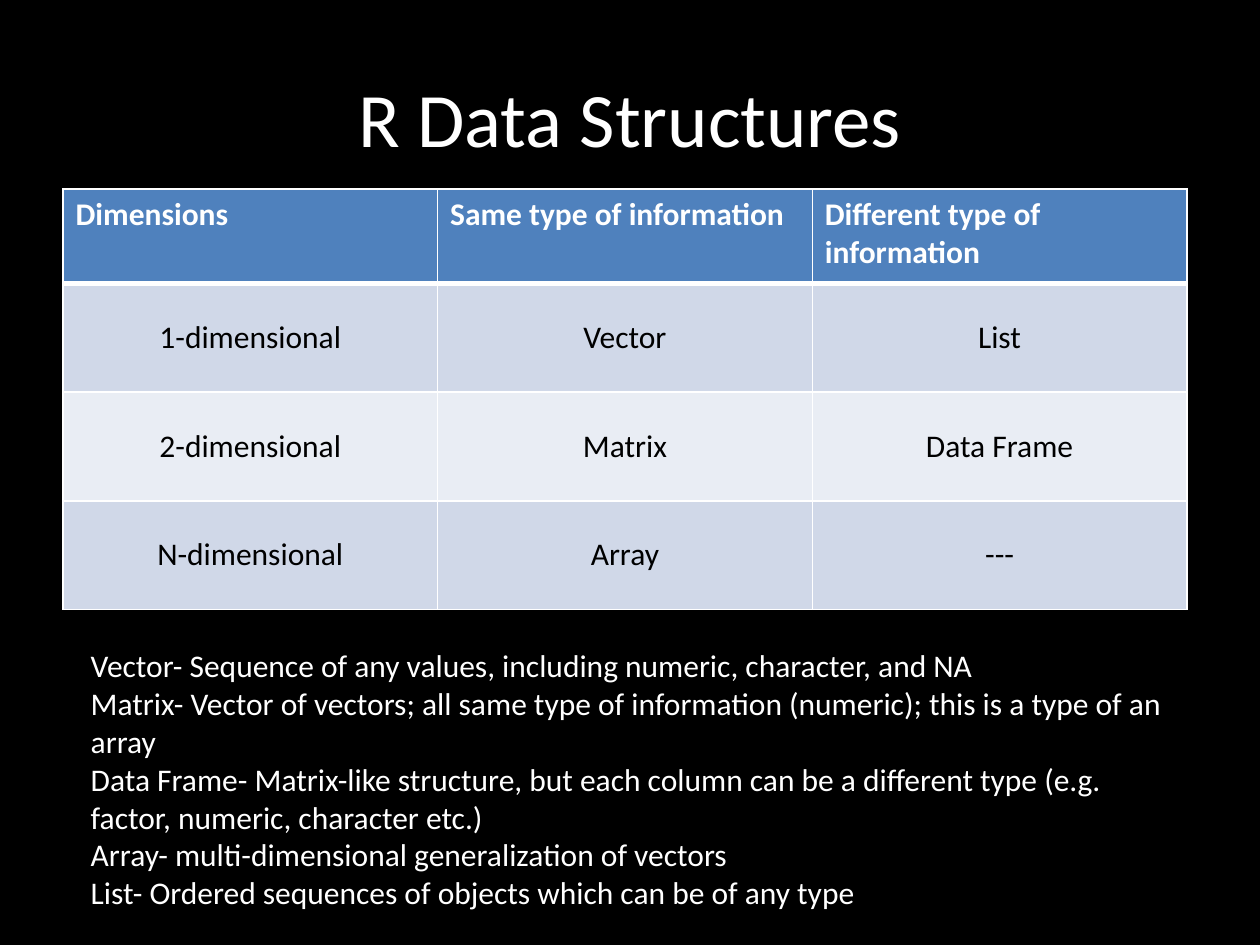
"""Build the R data structures slide: a title, a comparison table and definitions."""
from dataclasses import dataclass

from lxml import etree
from pptx import Presentation
from pptx import util as u
from pptx.dml.color import RGBColor
from pptx.enum import text
from pptx.oxml import ns

COLORS = {
    "black": "000000",
    "white": "FFFFFF",
    "header": "4F81BD",
    "odd": "D0D8E8",
    "even": "E9EDF4",
}
FONT = "Calibri"
COLUMN_WIDTH = 214.08


@dataclass(frozen=True)
class Row:
    labels: tuple[str, str, str]
    fill: str
    height: float = 62.1
    header: bool = False
    top: float = 1
    bottom: float = 1


ROWS = (
    Row(("Dimensions", "Same type of information", "Different type of information"),
        "header", height=54, header=True, bottom=3),
    Row(("1-dimensional", "Vector", "List"), "odd", top=3),
    Row(("2-dimensional", "Matrix", "Data Frame"), "even"),
    Row(("N-dimensional", "Array", "---"), "odd"),
)
DEFINITIONS = (
    "Vector- Sequence of any values, including numeric, character, and NA",
    "Matrix- Vector of vectors; all same type of information (numeric); "
    "this is a type of an array",
    "Data Frame- Matrix-like structure, but each column can be a different type "
    "(e.g. factor, numeric, character etc.)",
    "Array- multi-dimensional generalization of vectors",
    "List- Ordered sequences of objects which can be of any type",
)


def rgb(name: str) -> RGBColor:
    return RGBColor.from_string(COLORS[name])


def write(para, words: str, *, size: float = 18, color: str = "white",
          bold: bool = False, align=text.PP_ALIGN.LEFT) -> None:
    para.alignment = align
    span = para.add_run()
    span.text = words
    span.font.name = FONT
    span.font.size = u.Pt(size)
    span.font.bold = bold
    span.font.color.rgb = rgb(color)


def place(box, left: float, top: float, width: float, height: float) -> None:
    box.left, box.top = u.Pt(left), u.Pt(top)
    box.width, box.height = u.Pt(width), u.Pt(height)


def add_borders(cell, row: Row) -> None:
    properties = cell._tc.get_or_add_tcPr()
    for side, width in {"L": 1, "R": 1, "T": row.top, "B": row.bottom}.items():
        line = etree.SubElement(properties, ns.qn(f"a:ln{side}"), w=str(u.Pt(width)))
        fill = etree.SubElement(line, ns.qn("a:solidFill"))
        etree.SubElement(fill, ns.qn("a:srgbClr"), val=COLORS["white"])


def draw_cell(cell, words: str, row: Row) -> None:
    add_borders(cell, row)
    cell.fill.solid()
    cell.fill.fore_color.rgb = rgb(row.fill)
    cell.vertical_anchor = (
        text.MSO_ANCHOR.TOP if row.header else text.MSO_ANCHOR.MIDDLE)
    write(cell.text_frame.paragraphs[0], words, bold=row.header,
          color="white" if row.header else "black",
          align=text.PP_ALIGN.LEFT if row.header else text.PP_ALIGN.CENTER)


def draw_table(page) -> None:
    columns = len(ROWS[0].labels)
    table = page.shapes.add_table(
        len(ROWS), columns, u.Pt(36), u.Pt(108), u.Pt(columns * COLUMN_WIDTH),
        u.Pt(sum(row.height for row in ROWS))).table
    for column in table.columns:
        column.width = u.Pt(COLUMN_WIDTH)
    for index, row in enumerate(ROWS):
        table.rows[index].height = u.Pt(row.height)
        for cell, words in zip(table.rows[index].cells, row.labels):
            draw_cell(cell, words, row)


def draw_title(box) -> None:
    place(box, 36, 21.6, 648, 90)
    box.text_frame.vertical_anchor = text.MSO_ANCHOR.MIDDLE
    write(box.text_frame.paragraphs[0], "R Data Structures", size=44,
          align=text.PP_ALIGN.CENTER)


def draw_definitions(box) -> None:
    place(box, 44.64, 365.76, 630, 159.84)
    frame = box.text_frame
    frame.word_wrap = True
    frame.auto_size = text.MSO_AUTO_SIZE.SHAPE_TO_FIT_TEXT
    for index, words in enumerate(DEFINITIONS):
        para = frame.add_paragraph() if index else frame.paragraphs[0]
        para.space_before = u.Pt(0)
        write(para, words)
        properties = para._p.get_or_add_pPr()
        properties.set("marL", "0")
        properties.set("indent", "0")
        etree.SubElement(properties, ns.qn("a:buNone"))


def main() -> None:
    deck = Presentation()
    deck.slide_width, deck.slide_height = u.Pt(720), u.Pt(540)
    page = deck.slides.add_slide(deck.slide_layouts[1])
    page.background.fill.solid()
    page.background.fill.fore_color.rgb = rgb("black")
    draw_title(page.shapes.title)
    draw_table(page)
    draw_definitions(page.placeholders[1])
    deck.save("out.pptx")


if __name__ == "__main__":
    main()
